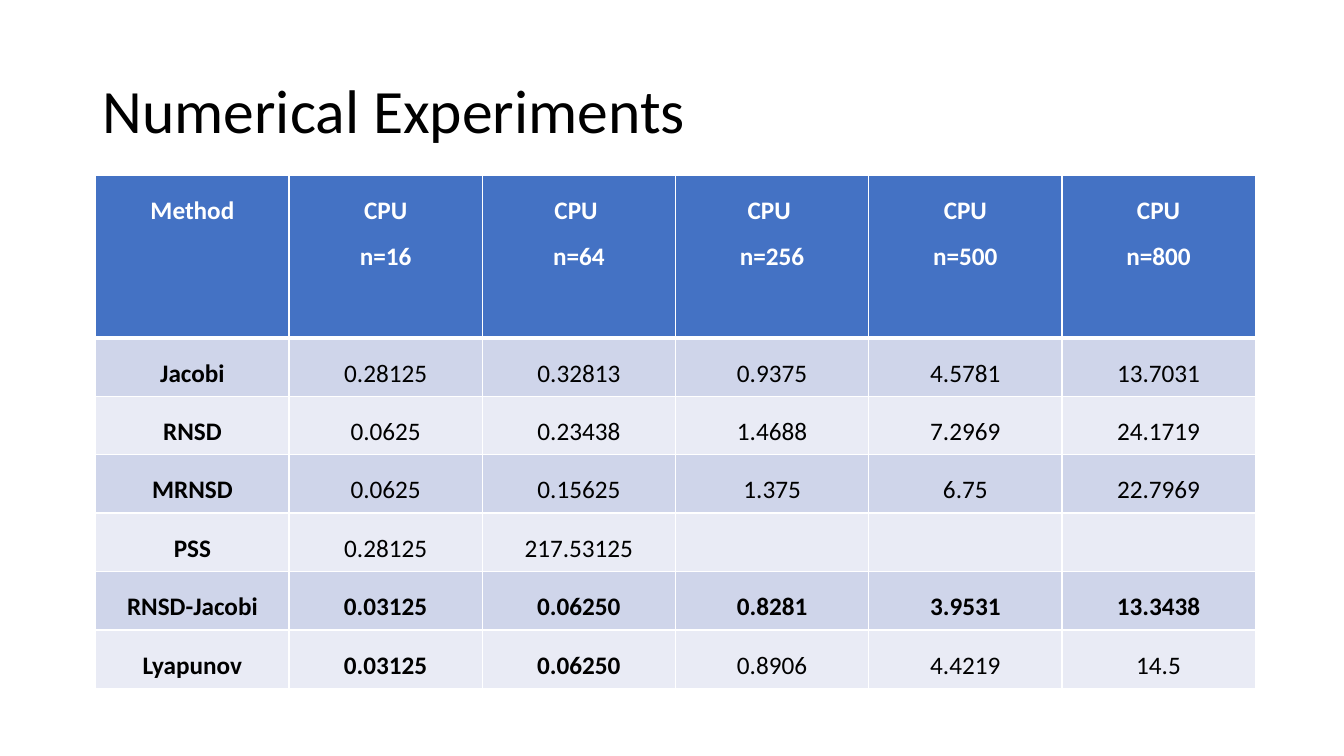
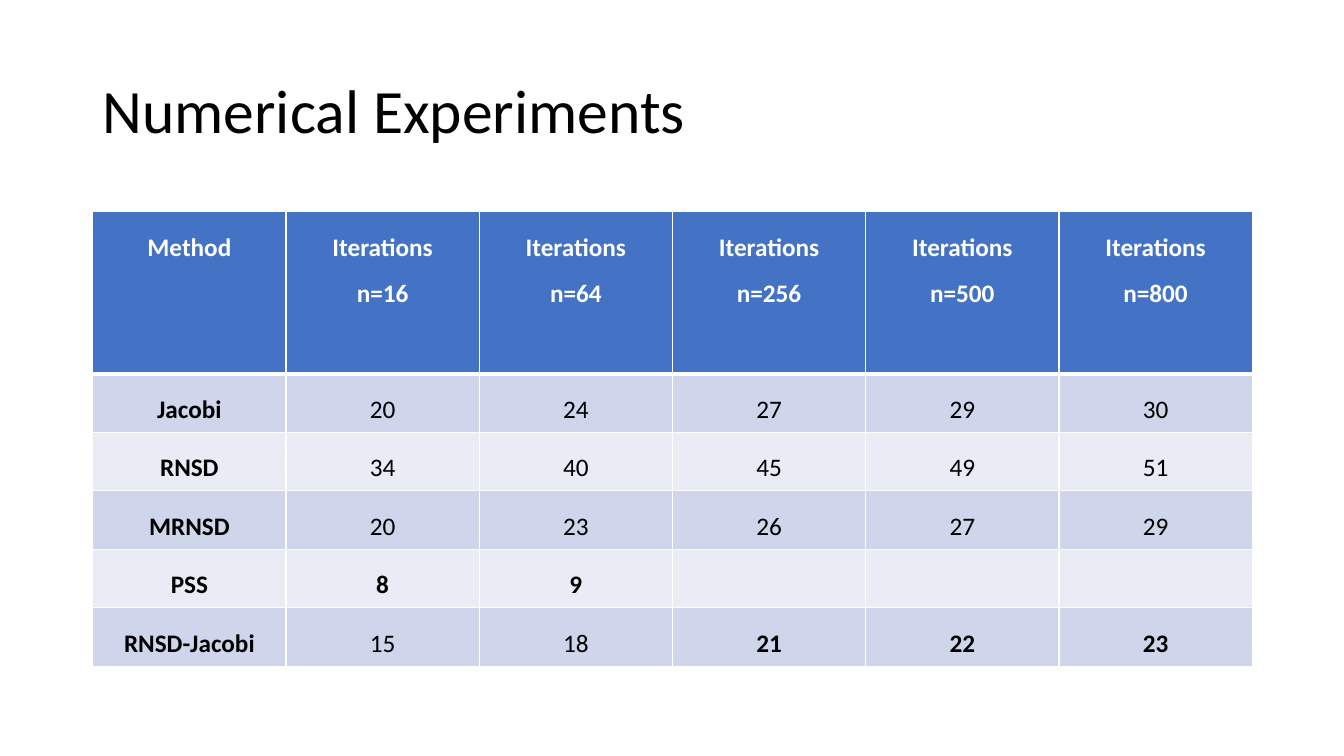
from pptx import Presentation
from pptx.dml.color import RGBColor
from pptx.enum.text import MSO_ANCHOR, PP_ALIGN
from pptx.oxml import parse_xml
from pptx.oxml.ns import nsdecls
from pptx.util import Inches, Pt

COLORS = {
    "header": "4472C4",
    "band_dark": "CFD5EA",
    "band_light": "E9EBF5",
    "ink": "000000",
    "white": "FFFFFF",
}
FONT = "Calibri"
TABLE_WIDTH = 11.5
HEADER_HEIGHT = 1.61
ROW_HEIGHT = 0.58

CPU_HEADER = ["Method", "CPU\nn=16", "CPU \nn=64", "CPU \nn=256", "CPU\nn=500", "CPU\nn=800"]
CPU_TIMES = [
    ["Jacobi", "0.28125", "0.32813", "0.9375", "4.5781", "13.7031"],
    ["RNSD", "0.0625", "0.23438", "1.4688", "7.2969", "24.1719"],
    ["MRNSD", "0.0625", "0.15625", "1.375", "6.75", "22.7969"],
    ["PSS", "0.28125", "217.53125", "", "", ""],
    ["RNSD-Jacobi", "0.03125", "0.06250", "0.8281", "3.9531", "13.3438"],
    ["Lyapunov", "0.03125", "0.06250", "0.8906", "4.4219", "14.5"],
]
ITERATIONS_HEADER = ["Method"] + [f"Iterations\nn={n}" for n in (16, 64, 256, 500, 800)]
ITERATIONS = [
    ["Jacobi", "20", "24", "27", "29", "30"],
    ["RNSD", "34", "40", "45", "49", "51"],
    ["MRNSD", "20", "23", "26", "27", "29"],
    ["PSS", "8", "9", "", "", ""],
    ["RNSD-Jacobi", "15", "18", "21", "22", "23"],
]


def add_run(paragraph, text, size, color, bold=False):
    """Append one styled run to a paragraph."""
    run = paragraph.add_run()
    run.text = text
    run.font.name = FONT
    run.font.size = Pt(size)
    run.font.bold = bold
    run.font.color.rgb = RGBColor.from_string(COLORS[color])


def add_title(slide, text):
    """Add the slide title, vertically centred in its band."""
    title = slide.shapes.add_textbox(Inches(0.92), Inches(0.4), Inches(11.5), Inches(1.45))
    frame = title.text_frame
    frame.word_wrap = True
    frame.vertical_anchor = MSO_ANCHOR.MIDDLE
    heading = frame.paragraphs[0]
    heading.line_spacing = 0.9
    add_run(heading, text, 44, "ink")


def set_borders(cell, top, bottom):
    """Draw white borders, 1 pt at the sides and the given widths above and below."""
    properties = cell._tc.get_or_add_tcPr()
    for side, width in (("L", 1), ("R", 1), ("T", top), ("B", bottom)):
        properties.append(parse_xml(
            f'<a:ln{side} {nsdecls("a")} w="{Pt(width)}"><a:solidFill>'
            f'<a:srgbClr val="{COLORS["white"]}"/></a:solidFill></a:ln{side}>'))


def fill_cell(cell, text, fill, color, bold):
    """Colour a cell and write its centred lines."""
    cell.fill.solid()
    cell.fill.fore_color.rgb = RGBColor.from_string(COLORS[fill])
    frame = cell.text_frame
    for index, line in enumerate(text.split("\n")):
        paragraph = frame.add_paragraph() if index else frame.paragraphs[0]
        paragraph.alignment = PP_ALIGN.CENTER
        paragraph.line_spacing = 1.5
        if line:
            add_run(paragraph, line, 18, color, bold)


def best_values(results):
    """Return the smallest value of each column after the method names."""
    return [min(float(value) for value in column if value)
            for column in list(zip(*results))[1:]]


def add_results_table(slide, left, top, header, results):
    """Add a banded table with method names and the best results in bold."""
    height = HEADER_HEIGHT + ROW_HEIGHT * len(results)
    table = slide.shapes.add_table(
        len(results) + 1, len(header), Inches(left), Inches(top),
        Inches(TABLE_WIDTH), Inches(height)).table
    for column in table.columns:
        column.width = Inches(TABLE_WIDTH / len(header))
    for index, row in enumerate(table.rows):
        row.height = Inches(ROW_HEIGHT if index else HEADER_HEIGHT)

    for col, label in enumerate(header):
        cell = table.cell(0, col)
        set_borders(cell, 1, 3)
        fill_cell(cell, label, "header", "white", True)

    best = best_values(results)
    for row, values in enumerate(results, start=1):
        band = "band_dark" if row % 2 else "band_light"
        for col, value in enumerate(values):
            cell = table.cell(row, col)
            set_borders(cell, 3 if row == 1 else 1, 1)
            bold = col == 0 or (value != "" and float(value) == best[col - 1])
            fill_cell(cell, value, band, "ink", bold)


def main():
    """Build and save the presentation."""
    deck = Presentation()
    deck.slide_width = Inches(13.33)
    deck.slide_height = Inches(7.5)
    for left, top, header, results in (
        (0.95, 1.74, CPU_HEADER, CPU_TIMES),
        (0.92, 2.1, ITERATIONS_HEADER, ITERATIONS),
    ):
        slide = deck.slides.add_slide(deck.slide_layouts[6])
        add_title(slide, "Numerical Experiments")
        add_results_table(slide, left, top, header, results)
    deck.save("out.pptx")


if __name__ == "__main__":
    main()
